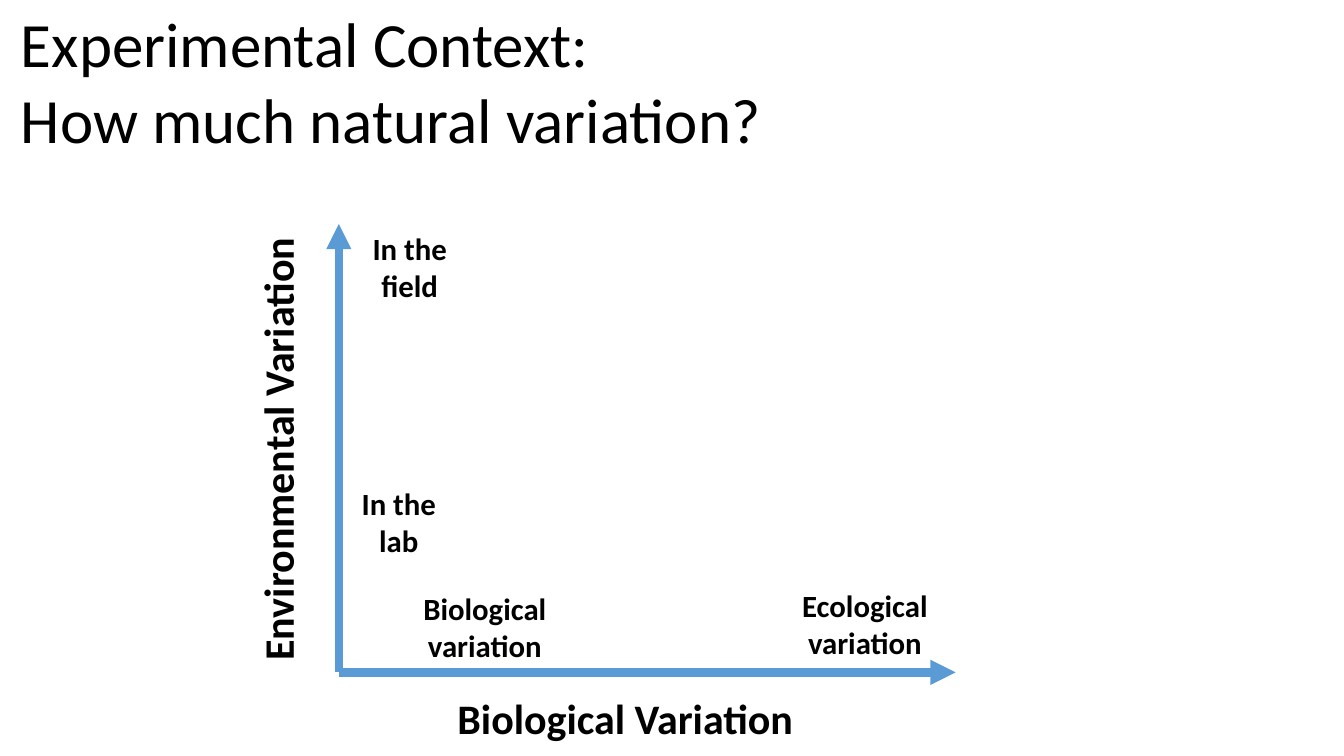
from lxml import etree
from pptx import Presentation
from pptx import util as u
from pptx.dml.color import RGBColor
from pptx.enum import shapes, text
from pptx.oxml.ns import qn

Pt = u.Pt
BLACK = "000000"
BLUE = "5B9BD5"
LEFT = text.PP_ALIGN.LEFT
MID = text.PP_ALIGN.CENTER


def color(code):
    return RGBColor.from_string(code)


def label(slide, box, lines, size, bold=True, align=MID, turn=0):
    """Add a text box with one paragraph for each line."""
    shape = slide.shapes.add_textbox(*map(Pt, box))
    shape.rotation = turn
    frame = shape.text_frame
    frame.word_wrap = True
    frame.auto_size = text.MSO_AUTO_SIZE.SHAPE_TO_FIT_TEXT
    for i, line in enumerate(lines):
        para = frame.paragraphs[0] if i == 0 else frame.add_paragraph()
        para.alignment = align
        run = para.add_run()
        run.text = line
        font = run.font
        font.name = "Calibri"
        font.size = Pt(size)
        font.bold = bold
        font.color.rgb = color(BLACK)


def arrow(group, start, end):
    axis = group.shapes.add_connector(
        shapes.MSO_CONNECTOR.STRAIGHT, *map(Pt, start + end))
    axis.line.color.rgb = color(BLUE)
    axis.line.width = Pt(6)
    etree.SubElement(axis.line._get_or_add_ln(), qn("a:tailEnd"),
                     type="triangle")
    etree.SubElement(axis._element.spPr, qn("a:effectLst"))


def main():
    deck = Presentation()
    deck.slide_width, deck.slide_height = Pt(960), Pt(540)
    slide = deck.slides.add_slide(deck.slide_layouts[6])

    label(slide, (7.9, 0, 650, 116.6),
          ["Experimental Context:", "How much natural variation?"],
          45, bold=False, align=LEFT)

    axes = slide.shapes.add_group_shape()
    zero = (242, 480.3)
    arrow(axes, zero, (682.6, 480.3))
    arrow(axes, zero, (242, 160))

    label(slide, (316.8, 491, 260, 44), ["Biological Variation"], 30)
    label(slide, (10.1, 298.8, 376.6, 44), ["Environmental Variation"], 30,
          turn=270)

    marks = [
        (249.8, 160.6, 85.7, ["In the field"]),
        (242, 342.7, 85.7, ["In the lab"]),
        (285.1, 417.6, 122.4, ["Biological variation"]),
        (556.6, 415.4, 122.4, ["Ecological", "variation"]),
    ]
    for left, top, width, lines in marks:
        label(slide, (left, top, width, 60.5), lines, 22)

    deck.save("out.pptx")


if __name__ == "__main__":
    main()
